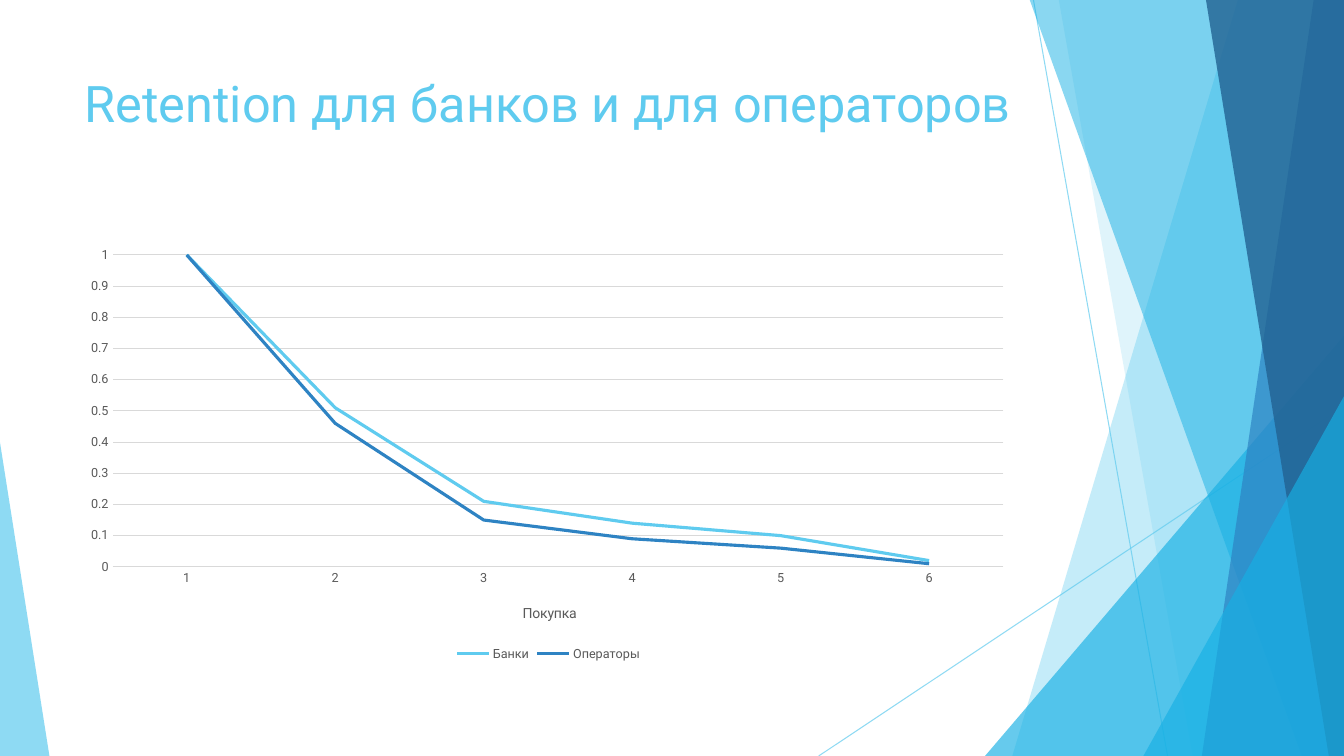
"""Build the retention slide: a faceted backdrop, a title and a line chart."""
from dataclasses import dataclass

from lxml import etree
from pptx import Presentation
from pptx import util as u
from pptx.chart import data as chart_data
from pptx.dml import color as dml
from pptx.enum import chart as ch, shapes, text
from pptx.oxml import ns

SLIDE_WIDTH, SLIDE_HEIGHT, FACET_TOP = 13.33, 7.5, -0.01


@dataclass(frozen=True)
class Theme:
    """Colours, font and type sizes of the slide."""
    sky: str = "5FCBEF"
    cyan: str = "17B0E4"
    blue: str = "2E83C3"
    navy: str = "226292"
    label: str = "595959"
    grid: str = "D9D9D9"
    font: str = "Roboto"
    title_size: float = 36
    axis_title_size: float = 10
    label_size: float = 9
    hairline: float = 0.75
    curve: float = 2.25


@dataclass(frozen=True)
class Ray:
    """A thin line across the backdrop."""
    start: tuple[float, float]
    end: tuple[float, float]


@dataclass(frozen=True)
class Facet:
    """A full-height panel from a slanted left edge to the slide's right edge."""
    top_x: float
    bottom_x: float
    color: str
    opacity: int


@dataclass(frozen=True)
class Corner:
    """A right triangle standing on the slide's bottom edge."""
    left: float
    top: float
    width: float
    apex: float
    color: str
    opacity: int


@dataclass(frozen=True)
class Curve:
    """One retention series."""
    name: str
    color: str
    values: tuple[float, ...]


THEME = Theme()
RAYS = (Ray((10.25, 0), (11.58, 7.5)), Ray((13.33, 4.03), (8.12, 7.5)))
BACKDROP = (
    Facet(12.28, 10.04, THEME.sky, 36),
    Facet(10.5, 11.83, THEME.sky, 20),
    Corner(9.77, 3.33, 3.56, 1, THEME.cyan, 66),
    Facet(10.21, 12.91, THEME.cyan, 50),
    Facet(13.03, 11.92, THEME.blue, 70),
    Facet(11.96, 13.18, THEME.navy, 80),
    Corner(11.34, 3.93, 1.99, 1, THEME.cyan, 66),
    Corner(0, 4.39, 0.49, 0, THEME.sky, 70),
)
CURVES = (
    Curve("Банки", THEME.sky, (1, 0.51, 0.21, 0.14, 0.1, 0.02)),
    Curve("Операторы", THEME.blue, (1, 0.46, 0.15, 0.09, 0.06, 0.01)),
)
PURCHASES = [str(number) for number in range(1, 7)]


def rgb(color: str) -> dml.RGBColor:
    """Turn a hex string into a colour."""
    return dml.RGBColor.from_string(color)


def apply(target, values: dict) -> None:
    """Set every attribute in values on target."""
    for name, value in values.items():
        setattr(target, name, value)


def style_font(font, size: float, color: str) -> None:
    """Give a font the theme face with a size and colour."""
    apply(font, {"name": THEME.font, "size": u.Pt(size), "bold": False})
    font.color.rgb = rgb(color)


def style_line(line, color: str, width: float) -> None:
    """Give a line a solid colour and width."""
    line.color.rgb = rgb(color)
    line.width = u.Pt(width)


def set_opacity(shape, percent: int) -> None:
    """Make the first solid colour of a shape translucent."""
    solid = shape.element.spPr.find(".//" + ns.qn("a:srgbClr"))
    etree.SubElement(solid, ns.qn("a:alpha"), val=str(percent * 1000))


def place(parent, **settings) -> None:
    """Fix a chart part by fractions of the chart area."""
    layout = parent.find(ns.qn("c:layout"))
    if layout is None:
        layout = etree.Element(ns.qn("c:layout"))
        parent.insert(0, layout)
    for child in list(layout):
        layout.remove(child)
    manual = etree.SubElement(layout, ns.qn("c:manualLayout"))
    for name, value in settings.items():
        etree.SubElement(manual, ns.qn(f"c:{name}"), val=str(value))


def draw_ray(slide, ray: Ray) -> None:
    """Draw one thin translucent line."""
    ends = [u.Inches(value) for value in ray.start + ray.end]
    connector = slide.shapes.add_connector(shapes.MSO_CONNECTOR.STRAIGHT, *ends)
    style_line(connector.line, THEME.sky, THEME.hairline)
    set_opacity(connector, 70)
    etree.SubElement(connector.element.spPr, ns.qn("a:effectLst"))


def draw_panel(slide, panel: Facet | Corner) -> None:
    """Draw one translucent facet or corner."""
    if isinstance(panel, Facet):
        outline = ((SLIDE_WIDTH, FACET_TOP), (SLIDE_WIDTH, SLIDE_HEIGHT),
                   (panel.bottom_x, SLIDE_HEIGHT))
        builder = slide.shapes.build_freeform(u.Inches(panel.top_x), u.Inches(FACET_TOP))
        builder.add_line_segments([(u.Inches(x), u.Inches(y)) for x, y in outline])
        shape = builder.convert_to_shape()
    else:
        box = (panel.left, panel.top, panel.width, SLIDE_HEIGHT - panel.top)
        shape = slide.shapes.add_shape(
            shapes.MSO_SHAPE.ISOSCELES_TRIANGLE, *map(u.Inches, box))
        shape.adjustments[0] = panel.apex
    shape.shadow.inherit = False
    shape.line.fill.background()
    shape.fill.solid()
    shape.fill.fore_color.rgb = rgb(panel.color)
    set_opacity(shape, panel.opacity)


def draw_title(slide, wording: str) -> None:
    """Write the slide title."""
    box = slide.shapes.add_textbox(*map(u.Inches, (0.74, 0.67, 9.4, 1.44)))
    apply(box.text_frame, {"word_wrap": True, "vertical_anchor": text.MSO_ANCHOR.TOP})
    run = box.text_frame.paragraphs[0].add_run()
    run.text = wording
    style_font(run.font, THEME.title_size, THEME.sky)


def draw_chart(slide, curves: tuple[Curve, ...]) -> None:
    """Draw the retention line chart."""
    retention = chart_data.CategoryChartData(number_format="General")
    retention.categories = PURCHASES
    for curve in curves:
        retention.add_series(curve.name, curve.values)
    frame = slide.shapes.add_chart(
        ch.XL_CHART_TYPE.LINE, *map(u.Inches, (0.74, 2.36, 9.4, 4.24)), retention)
    chart = frame.chart
    style_font(chart.font, THEME.label_size, THEME.label)
    apply(chart, {"has_title": False, "has_legend": True})
    apply(chart.legend, {"position": ch.XL_LEGEND_POSITION.BOTTOM,
                         "include_in_layout": False})
    purchase_axis, share_axis = chart.category_axis, chart.value_axis
    ticks = {"major_tick_mark": ch.XL_TICK_MARK.NONE, "minor_tick_mark": ch.XL_TICK_MARK.NONE}
    for axis in (purchase_axis, share_axis):
        apply(axis, ticks)
    for part in (chart.legend, purchase_axis.tick_labels, share_axis.tick_labels):
        style_font(part.font, THEME.label_size, THEME.label)
    apply(share_axis, {"minimum_scale": 0, "maximum_scale": 1, "major_unit": 0.1,
                       "has_major_gridlines": True})
    share_axis.format.line.fill.background()
    for line in (purchase_axis.format.line, share_axis.major_gridlines.format.line):
        style_line(line, THEME.grid, THEME.hairline)

    caption = purchase_axis.axis_title
    caption.text_frame.text = "Покупка"
    style_font(caption.text_frame.paragraphs[0].runs[0].font,
               THEME.axis_title_size, THEME.label)
    place(caption.format.line and purchase_axis.axis_title.element
          if hasattr(caption, "element") else chart.element.find(".//" + ns.qn("c:title")),
          xMode="edge", yMode="edge", x=0.47, y=0.85)
    place(chart.element.find(".//" + ns.qn("c:plotArea")), layoutTarget="inner",
          xMode="edge", yMode="edge", x=0.04, y=0.04, w=0.94, h=0.73)

    chart.plots[0].vary_by_categories = False
    for series, curve in zip(chart.plots[0].series, curves):
        apply(series, {"smooth": False})
        series.marker.style = ch.XL_MARKER_STYLE.NONE
        style_line(series.format.line, curve.color, THEME.curve)


def main() -> None:
    """Assemble and save the slide."""
    deck = Presentation()
    apply(deck, {"slide_width": u.Inches(SLIDE_WIDTH), "slide_height": u.Inches(SLIDE_HEIGHT)})
    slide = deck.slides.add_slide(deck.slide_layouts[6])
    for ray in RAYS:
        draw_ray(slide, ray)
    for panel in BACKDROP:
        draw_panel(slide, panel)
    draw_title(slide, "Retention для банков и для операторов")
    draw_chart(slide, CURVES)
    deck.save("out.pptx")


main()
